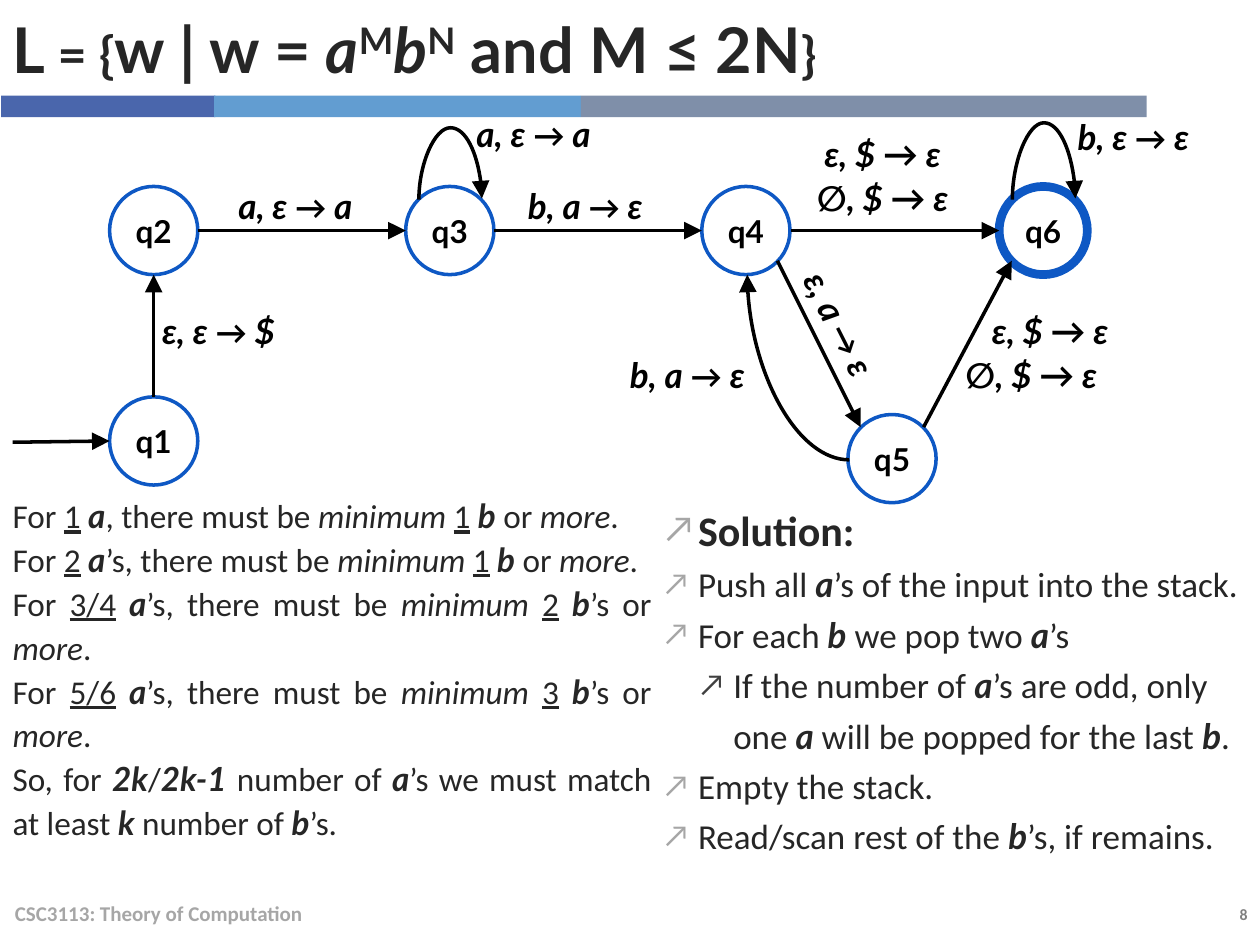
"""Build a slide on a pushdown automaton for the language a^M b^N with M ≤ 2N."""
from lxml.etree import SubElement
from pptx import Presentation
from pptx.dml.color import RGBColor
from pptx.enum.shapes import MSO_CONNECTOR as CONN, MSO_SHAPE as SHAPE
from pptx.enum.text import MSO_ANCHOR as ANCHOR, MSO_AUTO_SIZE as FIT, PP_ALIGN as ALIGN
from pptx.oxml.ns import qn
from pptx.util import Inches, Pt

COLORS = {"text": "262626", "black": "000000", "white": "FFFFFF", "state": "0E58C4",
          "footer": "A6A6A6", "number": "808080", "bullet": "A6A6A6", "subbullet": "404040",
          "bar_dark": "4A66AC", "bar_light": "629DD1", "bar_gray": "7F8FA9"}
STYLES = {"*": {"font": "Lato", "bold": True, "italic": True}, "_": {"underline": True},
          "~": {"italic": True}, "^": {"baseline": 30000}, "%": {"cap": "small"},
          ">": {"size": 18}}


def write(p, text, **fmt):
    """Add runs split at ¦, each with the style of its leading mark, if any."""
    for chunk in text.split("¦"):
        style = {**fmt, **STYLES.get(chunk[0], {})}
        r = p.add_run()
        r.text = chunk[1:] if chunk[0] in STYLES else chunk
        r.font.name = style.get("font", "Calibri")
        r.font.size = Pt(style["size"])
        r.font.color.rgb = RGBColor.from_string(COLORS[style.get("color", "text")])
        r.font.bold = style.get("bold", False)
        r.font.italic = style.get("italic", False)
        r.font.underline = style.get("underline", False)
        for name in ("baseline", "cap"):
            if name in style:
                r.font._element.set(name, str(style[name]))


def draw_arrow(kind, x1, y1, x2, y2, end="tailEnd"):
    """Add a black connector with a large triangle at one end."""
    s = slide.shapes.add_connector(kind, Inches(x1), Inches(y1), Inches(x2), Inches(y2))
    s.line.width = Pt(2)
    s.line.color.rgb = RGBColor.from_string(COLORS["black"])
    SubElement(s.line._get_or_add_ln(), qn("a:" + end), type="triangle", w="lg", len="lg")
    SubElement(s._element.spPr, qn("a:effectLst"))
    return s


prs = Presentation()
prs.slide_width, prs.slide_height = Inches(10), Inches(7.5)
slide = prs.slides.add_slide(prs.slide_layouts[3])
title, examples, solution = slide.placeholders

for s, box in ((title, (0, 0, 9.1, 0.76)), (examples, (0, 3.85, 5.27, 3.29)),
               (solution, (5.16, 3.87, 4.77, 3.27))):
    s.left, s.top, s.width, s.height = map(Inches, box)
    s.text_frame.auto_size = FIT.NONE
    s.text_frame.word_wrap = True
    s.text_frame.vertical_anchor = ANCHOR.TOP

title.text_frame.vertical_anchor = ANCHOR.MIDDLE
p = title.text_frame.paragraphs[0]
p.alignment = ALIGN.LEFT
p.space_before = Pt(6)
write(p, "%L = {¦w | w = ¦~a¦^M¦~b¦^N¦ and M ≤ 2N¦%}", size=36, font="Lato", bold=True)

for left, width, color in ((0.01, 1.7, "bar_dark"), (1.7, 2.91, "bar_light"), (4.61, 4.49, "bar_gray")):
    s = slide.shapes.add_shape(SHAPE.RECTANGLE, Inches(left), Inches(0.76), Inches(width), Inches(0.17))
    s.shadow.inherit = False
    s.fill.solid()
    s.fill.fore_color.rgb = RGBColor.from_string(COLORS[color])
    s.line.fill.background()

example_lines = [f"For ¦_{count}¦ ¦*a¦{a_end}, there must be ¦~minimum ¦_{least}¦ ¦*b¦{b_end} or ¦~more¦."
                 for count, a_end, least, b_end in (("1", "", 1, ""), ("2", "’s", 1, ""),
                                                    ("3/4", "’s", 2, "’s"), ("5/6", "’s", 3, "’s"))]
example_lines.append("So, for ¦*2k¦/¦*2k-1¦ number of ¦*a¦’s we must match at least ¦*k¦ number of ¦*b¦’s.")
for i, text in enumerate(example_lines):
    p = examples.text_frame.add_paragraph() if i else examples.text_frame.paragraphs[0]
    p.alignment = ALIGN.JUSTIFY
    p.line_spacing = 1.1
    p.space_before = Pt(0)
    pPr = p._p.get_or_add_pPr()
    pPr.set("marL", "0")
    pPr.set("indent", "0")
    SubElement(pPr, qn("a:buNone"))
    write(p, text, size=19)

steps = [(0, "Solution:"), (0, "Push all ¦*a¦’s of the input into the stack."),
         (0, "For each ¦*b¦ we pop two ¦*a¦’s"),
         (1, "If the number of ¦*a¦’s are odd, only one ¦*a¦ will be popped for the last ¦*b¦."),
         (0, "Empty the stack."), (0, "Read/scan rest of the ¦*b¦’s, if remains.")]
for i, (level, text) in enumerate(steps):
    p = solution.text_frame.add_paragraph() if i else solution.text_frame.paragraphs[0]
    p.level = level
    p.line_spacing = 1.2
    p.space_before = Pt(0)
    pPr = p._p.get_or_add_pPr()
    pPr.set("marL", str(Inches(0.28 * (level + 1))))
    pPr.set("indent", str(-Inches(0.28)))
    color = COLORS["subbullet" if level else "bullet"]
    SubElement(SubElement(pPr, qn("a:buClr")), qn("a:srgbClr"), val=color)
    SubElement(pPr, qn("a:buSzPct"), val="90000")
    SubElement(pPr, qn("a:buFont"), typeface="Calibri")
    SubElement(pPr, qn("a:buChar"), char="↗")
    write(p, text, size=20 if i else 24, bold=not i)

states = {"q1": (0.87, 3.15), "q2": (0.87, 1.48), "q3": (3.22, 1.48),
          "q5": (6.73, 3.29), "q4": (5.57, 1.48), "q6": (7.93, 1.48)}
for state, (left, top) in states.items():
    s = slide.shapes.add_shape(SHAPE.OVAL, Inches(left), Inches(top), Inches(0.7), Inches(0.7))
    s.shadow.inherit = False
    s.fill.solid()
    s.fill.fore_color.rgb = RGBColor.from_string(COLORS["white"])
    s.line.color.rgb = RGBColor.from_string(COLORS["state"])
    s.line.width = Pt(5 if state == "q6" else 2)
    tf = s.text_frame
    tf.margin_left = tf.margin_right = tf.margin_top = tf.margin_bottom = 0
    tf.vertical_anchor = ANCHOR.MIDDLE
    tf.paragraphs[0].alignment = ALIGN.CENTER
    write(tf.paragraphs[0], state, size=18, font="Lato", color="black", bold=True)

for ends in ((0.1, 3.51, 0.87, 3.5), (1.22, 3.15, 1.22, 2.18), (1.57, 1.83, 3.22, 1.83),
             (3.92, 1.83, 5.57, 1.83), (6.28, 1.83, 7.93, 1.83), (7.33, 3.39, 8.03, 2.07),
             (6.17, 2.07, 6.83, 3.39)):
    draw_arrow(CONN.STRAIGHT, *ends)

curves = [(5.6, 2.51, 1.47, 0.81, 270, "h", "headEnd", None),
          (3.57, 1.33, 0.01, 0.5, 90, "hv", "tailEnd", 58),
          (8.28, 1.33, 0.01, 0.5, 90, "hv", "tailEnd", 62)]
for left, top, width, height, angle, flips, end, bend in curves:
    s = draw_arrow(CONN.CURVE, left, top, left + width, top + height, end)
    xfrm = s._element.spPr.find(qn("a:xfrm"))
    xfrm.set("rot", str(angle * 60000))
    for flip in flips:
        xfrm.set("flip" + flip.upper(), "1")
    geom = s._element.spPr.find(qn("a:prstGeom"))
    if bend:
        SubElement(geom.find(qn("a:avLst")), qn("a:gd"), name="adj1", fmla=f"val {bend * 100000}")
    else:
        geom.set("prst", "curvedConnector2")

labels = [(1.63, 1.39, "a, ε ¦>→¦ a", 0), (3.93, 1.39, "b, a ¦>→¦ ε", 0),
          (5.95, 2.33, "ε, a ¦>→¦ ε", 63.2), (3.52, 0.82, "a, ε ¦>→¦ a", 0),
          (8.28, 0.84, "b, ε ¦>→¦ ε", 0), (4.74, 2.73, "b, a ¦>→¦ ε", 0),
          (1.02, 2.38, "ε, ε ¦>→¦ $", 0), (6.29, 0.98, "ε, $ → ε", 0),
          (6.29, 1.33, "∅, $ → ε", 0), (7.62, 2.38, "ε, $ → ε", 0), (7.47, 2.73, "∅, $ → ε", 0)]
for left, top, text, angle in labels:
    s = slide.shapes.add_textbox(Inches(left), Inches(top), Inches(1.43), Inches(0.48))
    if angle:
        s.rotation = angle
    tf = s.text_frame
    tf.word_wrap = True
    tf.vertical_anchor = ANCHOR.MIDDLE
    tf.paragraphs[0].alignment = ALIGN.CENTER
    write(tf.paragraphs[0], text, size=20, font="Lato", color="black", bold=True, italic=True)

for box, text, size, color, align in (
        ((0.02, 7.05, 6.7, 0.4), "CSC3113: Theory of Computation", 12, "footer", ALIGN.LEFT),
        ((8.73, 7.13, 1.27, 0.25), "8", 9, "number", ALIGN.RIGHT)):
    s = slide.shapes.add_textbox(*map(Inches, box))
    tf = s.text_frame
    tf.word_wrap = True
    tf.vertical_anchor = ANCHOR.MIDDLE
    tf.paragraphs[0].alignment = align
    write(tf.paragraphs[0], text, size=size, color=color, bold=True)

prs.save("out.pptx")
